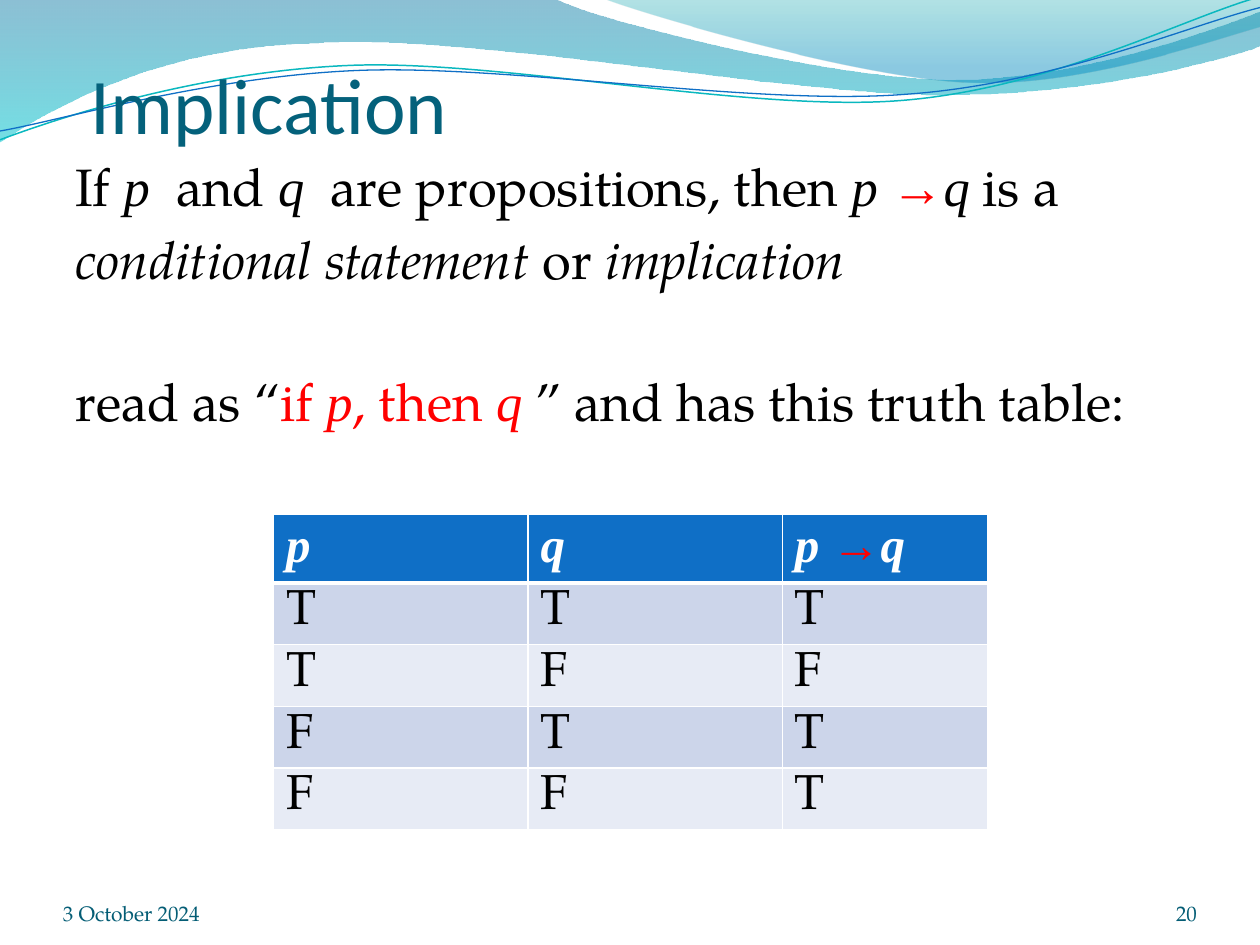
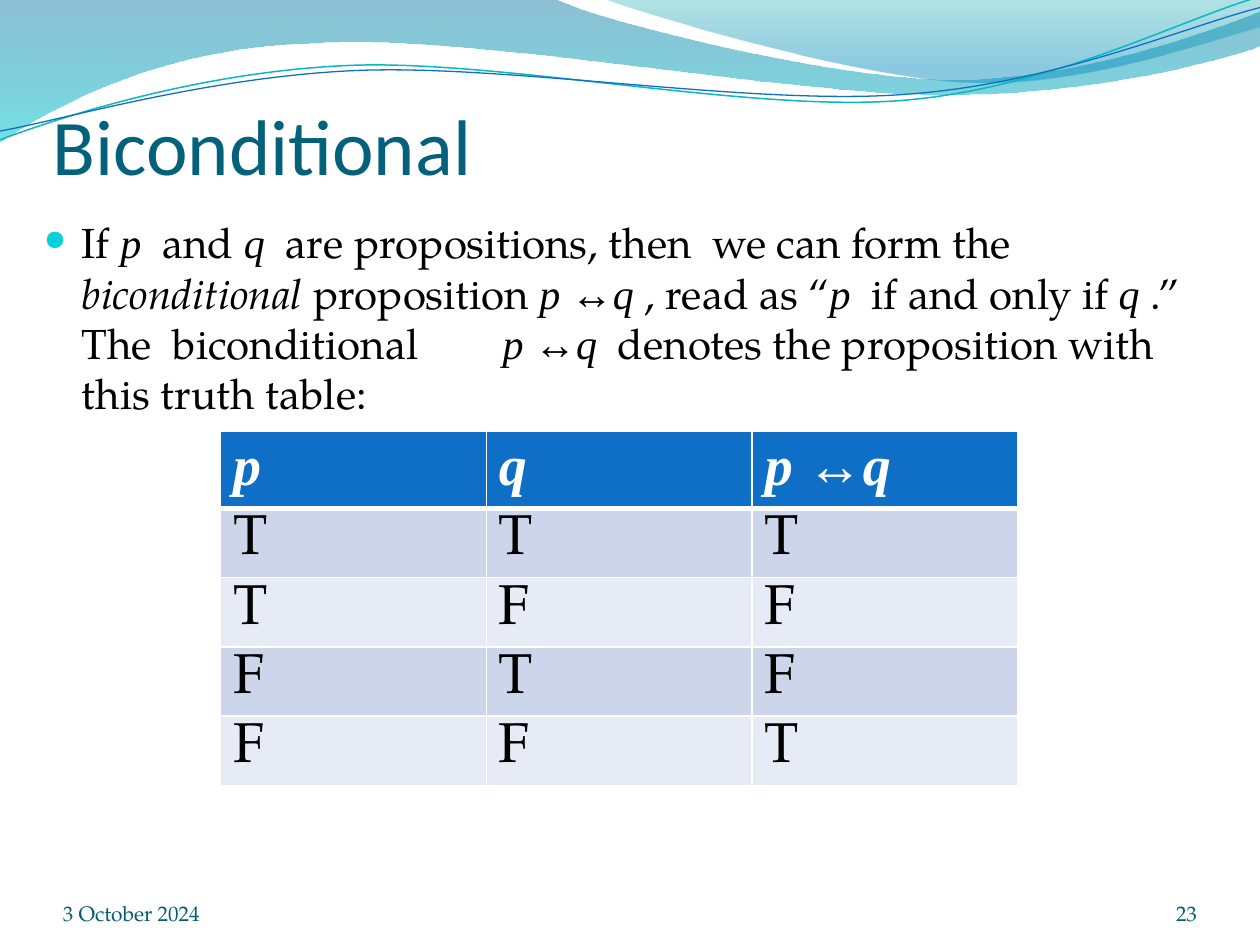
from lxml.etree import SubElement
from pptx import Presentation
from pptx.dml.color import RGBColor
from pptx.enum.text import MSO_ANCHOR, PP_ALIGN
from pptx.oxml.ns import qn
from pptx.util import Inches, Pt

COLORS = {
    "title": "04617B", "footer": "045D75", "text": "000000", "accent": "FF0000",
    "white": "FFFFFF", "header": "0F6FC6", "odd": "CCD5EA", "even": "E7EBF5",
    "bullet": "0BD0D9", "teal line": "0AB8BF", "blue line": "0F6FC6",
}
SERIF, MATH, SANS = "TeX Gyre Pagella", "Times New Roman", "Calibri"
SPAN_STYLES = {
    "plain": {},
    "term": {"italic": True},
    "math": {"font": MATH, "italic": True},
    "sign": {"font": MATH},
    "red": {"color": "accent"},
    "red math": {"font": MATH, "italic": True, "color": "accent"},
    "red sign": {"font": MATH, "color": "accent"},
}

# Wave outlines: a start point, then line (2 numbers) or curve (6 numbers) steps
WAVE_FILLS = [
    ([(0, 0), (4.4, -0.01), (4.76, 0.17, 6.64, 0.63, 7.58, 0.63),
      (8.53, 0.63, 9.58, 0.26, 10, 0.09), (10.01, 0.36),
      (9.83, 0.44, 8.7, 0.76, 7.46, 0.75), (6.22, 0.75, 3.82, 0.28, 2.57, 0.34),
      (1.29, 0.36, 0.46, 0.83, -0.01, 1.13), (0, 0)],
     [(0, "0074A1", 45), (100, "00C6CF", 55)]),
    ([(4.79, -0.01), (5.09, 0.11, 6.82, 0.62, 7.69, 0.65),
      (8.56, 0.69, 9.61, 0.32, 10, 0.21), (10, 0), (4.79, -0.01)],
     [(0, "00A1A9", 30), (80, "008BBF", 45)]),
]
WAVE_LINES = [
    ([(0, 1.11), (0.48, 0.93, 1.58, 0.57, 2.77, 0.52),
      (3.95, 0.47, 5.93, 0.89, 7.13, 0.8), (8.33, 0.71, 9.38, 0.15, 9.98, -0.02)],
     "teal line", 0.85),
    ([(0, 1.04), (0.47, 0.96, 1.64, 0.61, 2.83, 0.56),
      (4.03, 0.51, 5.97, 0.84, 7.17, 0.75), (8.36, 0.67, 9.41, 0.21, 10, 0.06)],
     "blue line", 0.75),
]


def rgb(name):
    return RGBColor.from_string(COLORS[name])


def add_span(para, text, size=12, font=SERIF, color="text", bold=False, italic=False):
    span = para.add_run()
    span.text = text
    span.font.size, span.font.name = Pt(size), font
    span.font.bold, span.font.italic = bold, italic
    span.font.color.rgb = rgb(color)


def add_spans(para, spans, **base):
    for text, style in spans:
        add_span(para, text, **{**base, **SPAN_STYLES[style]})


def add_box(slide, place, margins, anchor=MSO_ANCHOR.TOP):
    frame = slide.shapes.add_textbox(*map(Inches, place)).text_frame
    frame.word_wrap = True
    frame.vertical_anchor = anchor
    (frame.margin_left, frame.margin_top,
     frame.margin_right, frame.margin_bottom) = map(Inches, margins)
    return frame


# Waves at the top of every slide
def add_outline(slide, steps, close):
    ends = [(Inches(step[-2]), Inches(step[-1])) for step in steps]
    builder = slide.shapes.build_freeform(*ends[0])
    builder.add_line_segments(ends[1:], close=close)
    shape = builder.convert_to_shape()
    shape.shadow.inherit = False
    # Bend the straight segments that have control points
    segments = list(shape._element.iter(qn("a:lnTo")))
    for segment, step in zip(segments, steps[1:]):
        if len(step) == 6:
            segment.tag = qn("a:cubicBezTo")
            for child in list(segment):
                segment.remove(child)
            for x, y in zip(step[::2], step[1::2]):
                SubElement(segment, qn("a:pt"), x=str(Inches(x) - shape.left),
                           y=str(Inches(y) - shape.top))
    return shape


def set_gradient(shape, stops):
    shape.fill.gradient()
    gradient = shape.fill._xPr.find(qn("a:gradFill"))
    for child in list(gradient):
        gradient.remove(child)
    stop_list = SubElement(gradient, qn("a:gsLst"))
    for position, color, opacity in stops:
        stop = SubElement(stop_list, qn("a:gs"), pos=str(position * 1000))
        fill = SubElement(stop, qn("a:srgbClr"), val=color)
        SubElement(fill, qn("a:alpha"), val=str(opacity * 1000))
    SubElement(gradient, qn("a:lin"), ang=str(90 * 60000), scaled="0")


def add_waves(slide):
    for steps, stops in WAVE_FILLS:
        wave = add_outline(slide, steps, close=True)
        set_gradient(wave, stops)
        wave.line.fill.background()
    for steps, color, width in WAVE_LINES:
        curve = add_outline(slide, steps, close=False)
        curve.fill.background()
        curve.line.color.rgb = rgb(color)
        curve.line.width = Pt(width)


# Title, body and footer
def add_title(slide, text, left, top):
    frame = add_box(slide, (left, top, 9, 0.77), (0, 0.05, 0, 0), MSO_ANCHOR.BOTTOM)
    add_span(frame.paragraphs[0], text, size=45, font=SANS, color="title")


def add_body(slide, place, paragraphs, size, gaps, bullet=False, tab=None):
    frame = add_box(slide, place, (0.1, 0.05, 0.1, 0.05))
    for index, (spans, gap) in enumerate(zip(paragraphs, gaps)):
        para = frame.paragraphs[0] if index == 0 else frame.add_paragraph()
        para.space_before = Pt(gap)
        format_xml = para._p.get_or_add_pPr()
        format_xml.set("marL", str(Inches(0.3)))
        format_xml.set("indent", str(-Inches(0.3)))
        if bullet:
            color = SubElement(format_xml, qn("a:buClr"))
            SubElement(color, qn("a:srgbClr"), val=COLORS["bullet"])
            SubElement(format_xml, qn("a:buSzPct"), val="67000")
            SubElement(format_xml, qn("a:buChar"), char="●")
        if tab:
            tabs = SubElement(format_xml, qn("a:tabLst"))
            SubElement(tabs, qn("a:tab"), pos=str(Inches(tab)), algn="l")
        add_spans(para, spans, size=size)


def add_footer(slide, number):
    for text, left, width, align in (("3 October 2024", 0.5, 2.33, PP_ALIGN.LEFT),
                                     (str(number), 8.67, 0.83, PP_ALIGN.RIGHT)):
        frame = add_box(slide, (left, 6.95, width, 0.4), (0, 0, 0, 0), MSO_ANCHOR.BOTTOM)
        frame.paragraphs[0].alignment = align
        add_span(frame.paragraphs[0], text, color="footer")


# Truth table
def set_borders(cell, bottom):
    cell_xml = cell._tc.get_or_add_tcPr()
    for side, width in (("L", 1), ("R", 1), ("T", 1), ("B", bottom)):
        line = SubElement(cell_xml, qn(f"a:ln{side}"), w=str(Pt(width)))
        fill = SubElement(line, qn("a:solidFill"))
        SubElement(fill, qn("a:srgbClr"), val=COLORS["white"])


def add_truth_table(slide, left, top, widths, heights, size, formula, results):
    header_height, row_height = heights
    height = header_height + row_height * len(results)
    table = slide.shapes.add_table(len(results) + 1, len(widths), Inches(left), Inches(top),
                                   Inches(sum(widths)), Inches(height)).table
    table.horz_banding = False
    for column, width in zip(table.columns, widths):
        column.width = Inches(width)
    inputs = ("TT", "TF", "FT", "FF")
    rows = [([("p", "math")], [("q", "math")], formula)]
    rows += [[[(value, "plain")] for value in pair + result]
             for pair, result in zip(inputs, results)]
    for index, row in enumerate(rows):
        is_header = index == 0
        table.rows[index].height = Inches(header_height if is_header else row_height)
        for column, spans in enumerate(row):
            cell = table.cell(index, column)
            set_borders(cell, bottom=3 if is_header else 1)
            cell.margin_top = cell.margin_bottom = Inches(0.04 if is_header else 0.05)
            cell.fill.solid()
            cell.fill.fore_color.rgb = rgb("header" if is_header else
                                           "odd" if index % 2 else "even")
            para = cell.text_frame.paragraphs[0]
            if not is_header:
                para.line_spacing = Pt(size)
            add_spans(para, spans, size=size, bold=is_header,
                      color="white" if is_header else "text")


# Slides
def start_slide(deck, title, left, top, number):
    slide = deck.slides.add_slide(deck.slide_layouts[6])
    add_waves(slide)
    add_title(slide, title, left, top)
    add_footer(slide, number)
    return slide


def add_implication(deck):
    slide = start_slide(deck, " Implication", 0.58, 0.42, 20)
    add_body(slide, (0.5, 1.17, 9, 5.75), [
        [("If ", "plain"), ("p", "math"), ("  and ", "plain"), ("q", "math"),
         ("  are propositions, then ", "plain"), ("p ", "math"), ("→", "red sign"),
         ("q", "math"), (" is a", "plain")],
        [("conditional statement ", "term"), ("or ", "plain"), ("implication", "term")],
        [("read as “", "plain"), ("if ", "red"), ("p", "red math"), (", then ", "red"),
         ("q ", "red math"), ("” and has this truth table:", "plain")],
    ], size=30, gaps=(6, 6, 45))
    add_truth_table(slide, 2.17, 4.08, (2.02, 2.02, 1.63), (0.53, 0.49), 28,
                    [("p ", "math"), ("→", "red sign"), ("q", "math")], "TFTT")


def add_biconditional(deck):
    slide = start_slide(deck, "Biconditional", 0.42, 0.75, 23)
    formula = [("p ", "math"), ("↔", "sign"), ("q", "math")]
    add_body(slide, (0.25, 1.67, 9.5, 5.25), [
        [("If ", "plain"), ("p", "math"), ("  and ", "plain"), ("q", "math"),
         ("  are propositions, then  we can form the ", "plain"),
         ("biconditional ", "term"), ("proposition ", "plain"), *formula,
         (" , read as “", "plain"), ("p", "math"), ("  if and only if ", "plain"),
         ("q", "math"), (" .” The  biconditional\t", "plain"), *formula,
         ("  denotes the proposition with this truth table:", "plain")],
    ], size=24, gaps=(4.8,), bullet=True, tab=3.64)
    add_truth_table(slide, 1.75, 3.42, (2.11,) * 3, (0.59, 0.55), 32, formula, "TFFT")


def main():
    deck = Presentation()
    deck.slide_width, deck.slide_height = Inches(10), Inches(7.5)
    add_implication(deck)
    add_biconditional(deck)
    deck.save("out.pptx")


if __name__ == "__main__":
    main()
